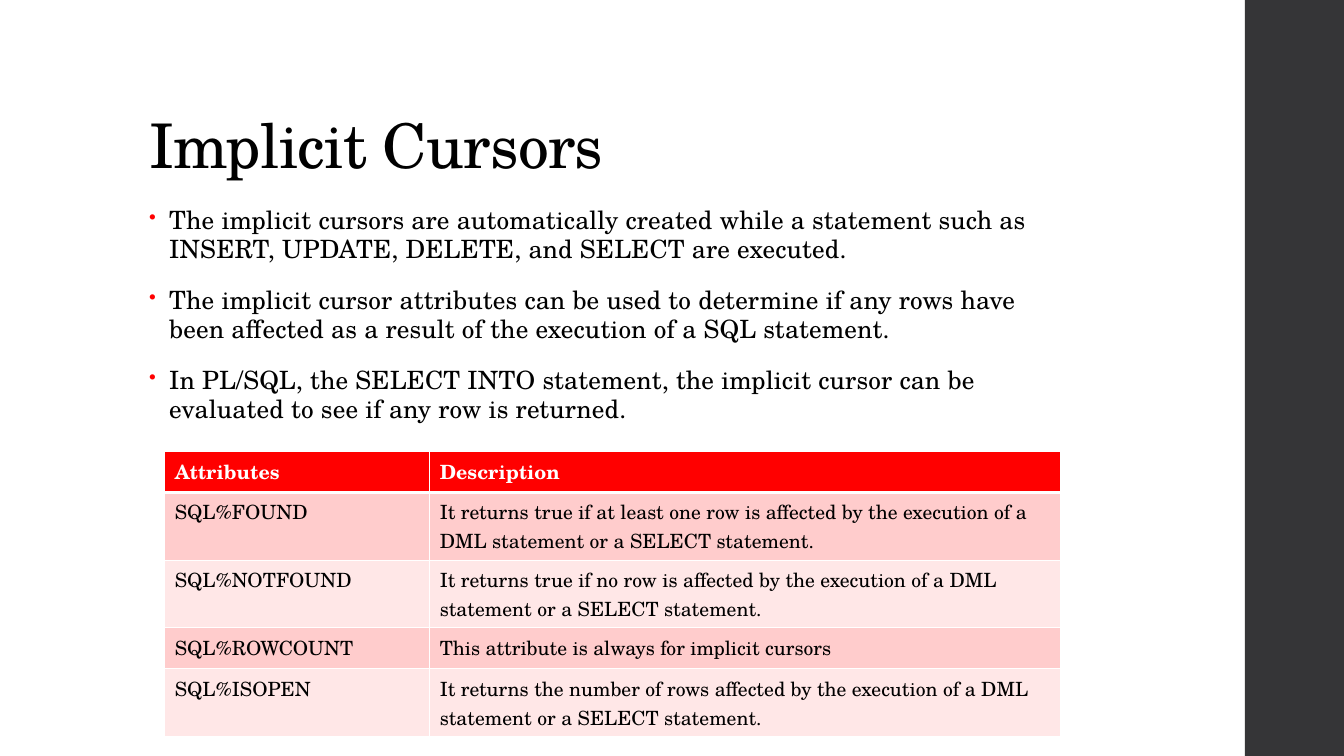
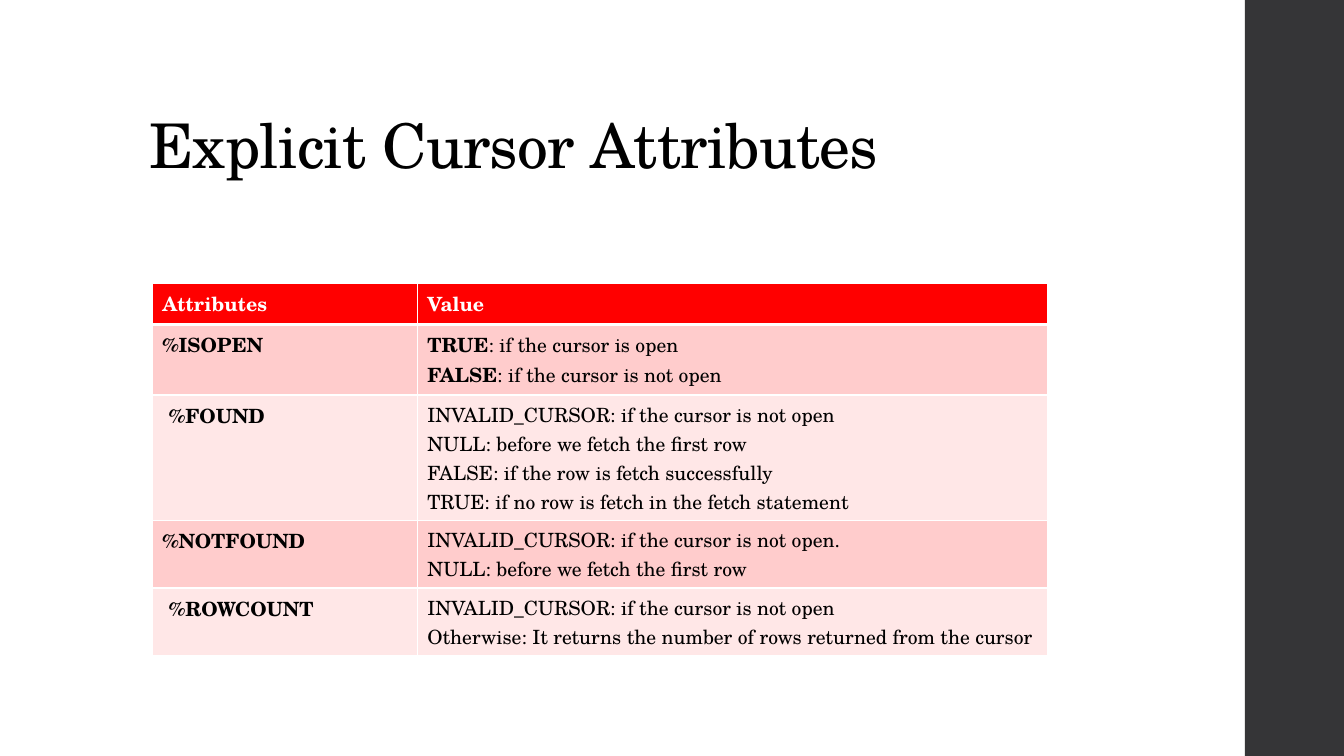
from lxml import etree
from pptx import Presentation
from pptx.dml.color import RGBColor
from pptx.enum import shapes, text
from pptx.oxml import ns
from pptx.util import Pt

FONT = "TeX Gyre Schola"
BLACK = RGBColor(0x00, 0x00, 0x00)
WHITE = RGBColor(0xFF, 0xFF, 0xFF)
RED = RGBColor(0xFF, 0x00, 0x00)
CHARCOAL = RGBColor(0x35, 0x35, 0x37)
ROW_FILLS = (RGBColor(0xFF, 0xCC, 0xCC), RGBColor(0xFF, 0xE7, 0xE7))

COLUMN_WIDTHS = (189.3, 450.3)
ROW_HEIGHT = 29.2
LINE_HEIGHT = 20.6
BOLD_LINE_HEIGHT = 21.6
CELL_MARGINS = 7.2

# Each row: name, paragraphs of its meaning, number of lines they take.
LESSONS = [
    {
        "title": "Implicit Cursors",
        "points": [
            "The implicit cursors are automatically created while a statement such as "
            "INSERT, UPDATE, DELETE, and SELECT are executed.",
            "The implicit cursor attributes can be used to determine if any rows have "
            "been affected as a result of the execution of a SQL statement.",
            "In PL/SQL, the SELECT INTO statement, the implicit cursor can be "
            "evaluated to see if any row is returned.",
        ],
        "table_at": (117.7, 322.5),
        "header": ("Attributes", "Description"),
        "bold_names": False,
        "rows": [
            ("SQL%FOUND", ["It returns true if at least one row is affected by the "
                           "execution of a DML statement or a SELECT statement."], 2),
            ("SQL%NOTFOUND", ["It returns true if no row is affected by the "
                              "execution of a DML statement or a SELECT statement."], 2),
            ("SQL%ROWCOUNT", ["This attribute is always for implicit cursors"], 1),
            ("SQL%ISOPEN", ["It returns the number of rows affected by the "
                            "execution of a DML statement or a SELECT statement."], 2),
        ],
    },
    {
        "title": "Explicit Cursor Attributes",
        "points": [],
        "table_at": (108.8, 202.5),
        "header": ("Attributes", "Value"),
        "bold_names": True,
        "rows": [
            ("%ISOPEN", [("TRUE", ": if the cursor is open"),
                         ("FALSE", ": if the cursor is not open")], 2),
            ("\u00a0%FOUND", ["INVALID_CURSOR: if the cursor is not open",
                              "NULL: before we fetch the first row",
                              "FALSE: if the row is fetch successfully",
                              "TRUE: if no row is fetch in the fetch statement"], 4),
            ("%NOTFOUND", ["INVALID_CURSOR: if the cursor is not open.",
                           "NULL: before we fetch the first row"], 2),
            ("\u00a0%ROWCOUNT", ["INVALID_CURSOR: if the cursor is not open",
                                 "Otherwise: It returns the number of rows returned "
                                 "from the cursor"], 2),
        ],
    },
]


def write(frame, paragraphs, size=14, color=BLACK, bold=False, tracking=0,
          leading=None, before=0, after=0, bullet=False):
    """Fill a text frame; a (lead, rest) paragraph gets a bold lead."""
    frame.word_wrap = True
    for index, content in enumerate(paragraphs):
        paragraph = frame.paragraphs[0] if index == 0 else frame.add_paragraph()
        paragraph.space_before, paragraph.space_after = Pt(before), Pt(after)
        if leading:
            paragraph.line_spacing = leading
        if bullet:
            properties = paragraph._p.get_or_add_pPr()
            properties.set("marL", str(Pt(14.4)))
            properties.set("indent", str(-Pt(14.4)))
            bullet_color = etree.SubElement(properties, ns.qn("a:buClr"))
            etree.SubElement(bullet_color, ns.qn("a:srgbClr"), val=str(RED))
            etree.SubElement(properties, ns.qn("a:buSzPct"), val="80000")
            etree.SubElement(properties, ns.qn("a:buChar"), char="\u2022")
        runs = [(content, bold)]
        if isinstance(content, tuple):
            runs = [(content[0], True), (content[1], bold)]
        for words, heavy in runs:
            run = paragraph.add_run()
            run.text = words
            run.font.name, run.font.size, run.font.bold = FONT, Pt(size), heavy
            run.font.color.rgb = color
            if tracking:
                run._r.get_or_add_rPr().set("spc", str(round(tracking * 100)))


def style_cell(cell, fill, top=1, bottom=1):
    """Give a cell white borders of the given widths and a solid fill."""
    properties = cell._tc.get_or_add_tcPr()
    for side, width in (("L", 1), ("R", 1), ("T", top), ("B", bottom)):
        border = etree.SubElement(properties, ns.qn(f"a:ln{side}"), w=str(Pt(width)))
        solid = etree.SubElement(border, ns.qn("a:solidFill"))
        etree.SubElement(solid, ns.qn("a:srgbClr"), val=str(WHITE))
    cell.fill.solid()
    cell.fill.fore_color.rgb = fill


deck = Presentation()
deck.slide_width, deck.slide_height = Pt(960), Pt(540)

for lesson in LESSONS:
    slide = deck.slides.add_slide(deck.slide_layouts[6])
    slide.background.fill.solid()
    slide.background.fill.fore_color.rgb = WHITE

    band = slide.shapes.add_shape(shapes.MSO_SHAPE.RECTANGLE,
                                  Pt(889.2), Pt(0), Pt(72), Pt(540))
    band.shadow.inherit = False
    band.fill.solid()
    band.fill.fore_color.rgb = CHARCOAL
    band.line.fill.background()

    title = slide.shapes.add_textbox(Pt(99.4), Pt(28.8), Pt(763), Pt(104.4)).text_frame
    title.vertical_anchor = text.MSO_ANCHOR.BOTTOM
    write(title, [lesson["title"]], size=44, tracking=-0.5, leading=0.9)

    if lesson["points"]:
        points = slide.shapes.add_textbox(Pt(99.4), Pt(144), Pt(676.8), Pt(342.7))
        write(points.text_frame, lesson["points"], size=18, tracking=0.1,
              leading=0.95, before=14, after=2, bullet=True)

    left, top = lesson["table_at"]
    row_count = len(lesson["rows"]) + 1
    attributes = slide.shapes.add_table(
        row_count, len(COLUMN_WIDTHS), Pt(left), Pt(top),
        Pt(sum(COLUMN_WIDTHS)), Pt(ROW_HEIGHT * row_count)).table
    for column, width in zip(attributes.columns, COLUMN_WIDTHS):
        column.width = Pt(width)

    attributes.rows[0].height = Pt(ROW_HEIGHT)
    for column, heading in enumerate(lesson["header"]):
        cell = attributes.cell(0, column)
        style_cell(cell, RED, bottom=3)
        write(cell.text_frame, [heading], color=WHITE, bold=True)

    for number, (name, meaning, lines) in enumerate(lesson["rows"], start=1):
        has_bold_lead = isinstance(meaning[0], tuple)
        line_height = BOLD_LINE_HEIGHT if has_bold_lead else LINE_HEIGHT
        attributes.rows[number].height = Pt(
            max(ROW_HEIGHT, CELL_MARGINS + lines * line_height))
        name_cell, meaning_cell = attributes.cell(number, 0), attributes.cell(number, 1)
        for cell in (name_cell, meaning_cell):
            style_cell(cell, ROW_FILLS[(number - 1) % 2], top=3 if number == 1 else 1)
        write(name_cell.text_frame, [name], bold=lesson["bold_names"])
        write(meaning_cell.text_frame, meaning)

deck.save("out.pptx")
